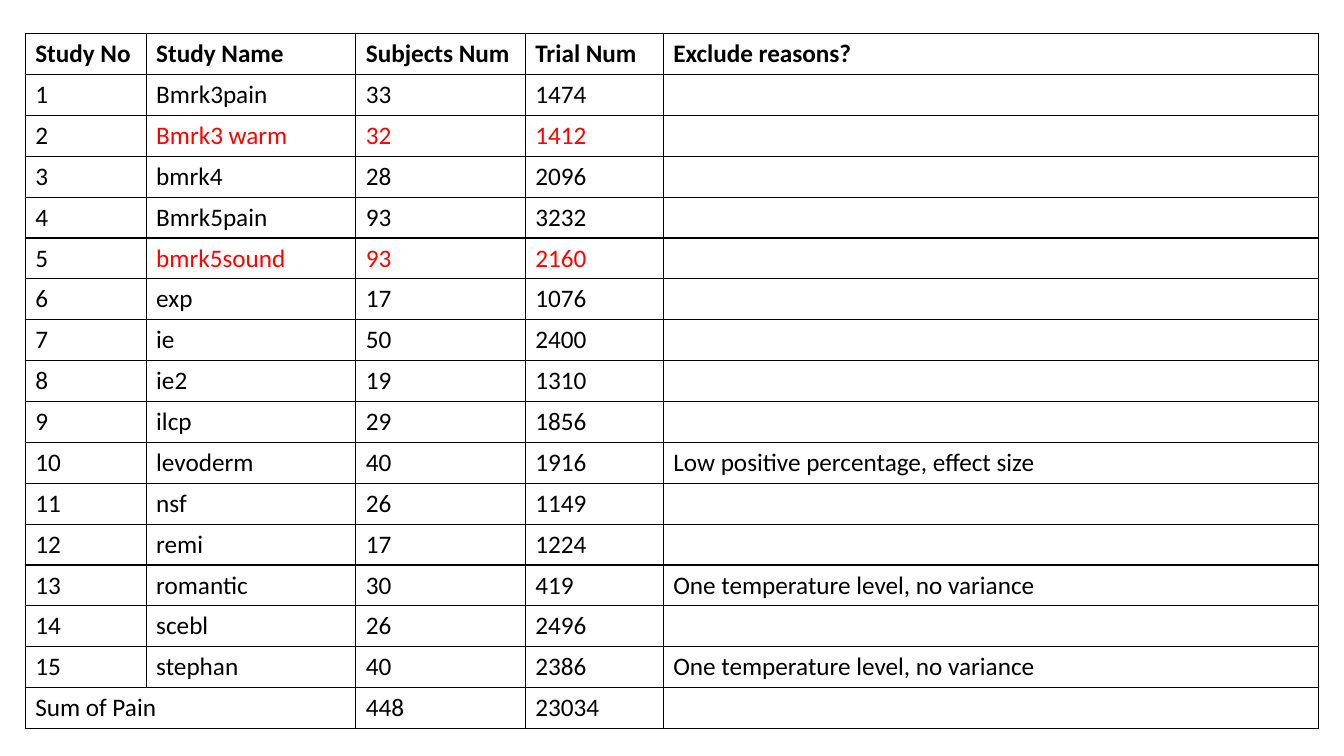
"""Builds a one-slide deck with a table of studies, subjects, trials and exclusion reasons."""
from lxml import etree
from pptx import Presentation
from pptx.dml.color import RGBColor
from pptx.oxml.ns import qn
from pptx.util import Pt

COLORS = {"text": "000000", "not_pain": "FF0000", "border": "000000"}
FONT = "Calibri"
ROW_HEIGHT = 29.18
COLUMN_WIDTHS = [86.4, 149.8, 121, 98.6, 468]
HEADERS = ["Study No", "Study Name", "Subjects Num", "Trial Num", "Exclude reasons?"]
ONE_LEVEL = "One temperature level, no variance"
NOT_PAIN = {"Bmrk3 warm", "bmrk5sound"}
STUDIES = [
    ("Bmrk3pain", 33, 1474, ""),
    ("Bmrk3 warm", 32, 1412, ""),
    ("bmrk4", 28, 2096, ""),
    ("Bmrk5pain", 93, 3232, ""),
    ("bmrk5sound", 93, 2160, ""),
    ("exp", 17, 1076, ""),
    ("ie", 50, 2400, ""),
    ("ie2", 19, 1310, ""),
    ("ilcp", 29, 1856, ""),
    ("levoderm", 40, 1916, "Low positive percentage, effect size"),
    ("nsf", 26, 1149, ""),
    ("remi", 17, 1224, ""),
    ("romantic", 30, 419, ONE_LEVEL),
    ("scebl", 26, 2496, ""),
    ("stephan", 40, 2386, ONE_LEVEL),
]


def add_borders(cell):
    properties = cell._tc.get_or_add_tcPr()
    for side in ("lnL", "lnR", "lnT", "lnB"):
        line = etree.SubElement(properties, qn(f"a:{side}"), w=str(Pt(1)))
        fill = etree.SubElement(line, qn("a:solidFill"))
        etree.SubElement(fill, qn("a:srgbClr"), val=COLORS["border"])


pain_studies = [study for study in STUDIES if study[0] not in NOT_PAIN]
subject_sum = sum(study[1] for study in pain_studies)
trial_sum = sum(study[2] for study in pain_studies)
rows = [HEADERS]
rows += [(number, *study) for number, study in enumerate(STUDIES, 1)]
rows.append(("Sum of Pain", "", subject_sum, trial_sum, ""))

deck = Presentation()
deck.slide_width = Pt(960)
deck.slide_height = Pt(540)
page = deck.slides.add_slide(deck.slide_layouts[6])

frame = page.shapes.add_table(
    len(rows), len(HEADERS), Pt(18), Pt(24), Pt(sum(COLUMN_WIDTHS)), Pt(ROW_HEIGHT * len(rows))
)
table = frame.table
table.first_row = False
table.horz_banding = False
for column, width in zip(table.columns, COLUMN_WIDTHS):
    column.width = Pt(width)

for row_index, values in enumerate(rows):
    table.rows[row_index].height = Pt(ROW_HEIGHT)
    for column_index, value in enumerate(values):
        cell = table.cell(row_index, column_index)
        add_borders(cell)
        cell.fill.background()
        if value == "":
            continue
        is_red = values[1] in NOT_PAIN and column_index > 0
        span = cell.text_frame.paragraphs[0].add_run()
        span.text = str(value)
        span.font.name = FONT
        span.font.size = Pt(18)
        span.font.bold = row_index == 0
        span.font.color.rgb = RGBColor.from_string(COLORS["not_pain" if is_red else "text"])

last_row = len(rows) - 1
table.cell(last_row, 0).merge(table.cell(last_row, 1))

deck.save("out.pptx")
